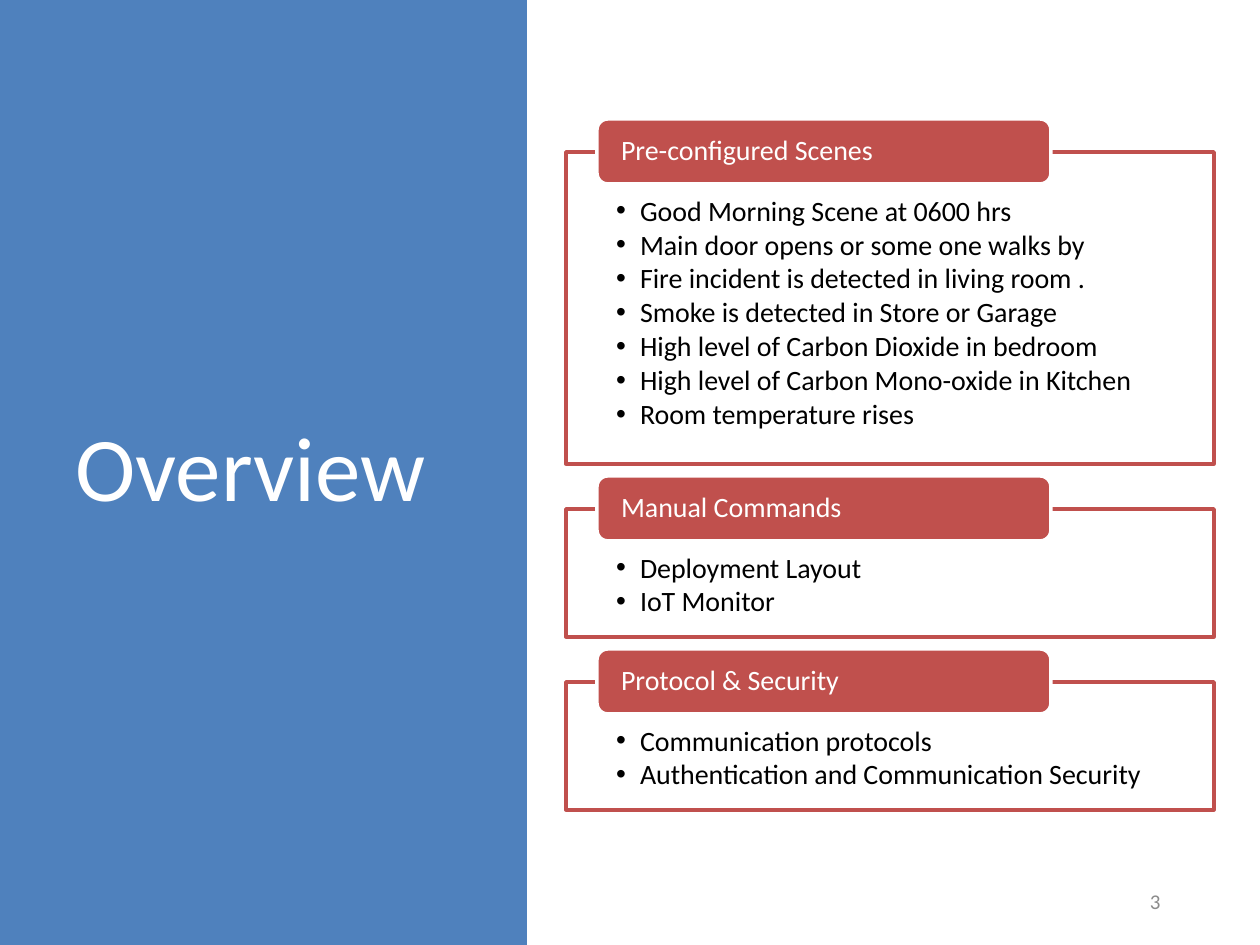
"""Build the overview slide: a title panel beside three captioned lists."""
from lxml import etree
from pptx import Presentation
from pptx.dml.color import RGBColor
from pptx.enum.shapes import MSO_SHAPE
from pptx.enum.text import MSO_ANCHOR, MSO_AUTO_SIZE, PP_ALIGN
from pptx.oxml.ns import qn
from pptx.util import Inches, Pt

RECTANGLE, ROUNDED = MSO_SHAPE.RECTANGLE, MSO_SHAPE.ROUNDED_RECTANGLE
TOP, MIDDLE = MSO_ANCHOR.TOP, MSO_ANCHOR.MIDDLE
LEFT, CENTER, RIGHT = PP_ALIGN.LEFT, PP_ALIGN.CENTER, PP_ALIGN.RIGHT
BLUE = RGBColor(0x4F, 0x81, 0xBD)
RED = RGBColor(0xC0, 0x50, 0x4D)
WHITE = RGBColor(0xFF, 0xFF, 0xFF)
BLACK = RGBColor(0x00, 0x00, 0x00)
GRAY = RGBColor(0x8C, 0x8C, 0x8C)
PIXEL = Inches(1) // 126
TITLE_ONLY = 5

FRAME_LEFT, FRAME_WIDTH, FIRST_TOP, GAP = 566, 648, 152, 45
TAB_LEFT, TAB_WIDTH, TAB_HEIGHT, TAB_RISE = 597, 454, 65, 33
SECTIONS = [
    ("Pre-configured Scenes", 312, [
        "Good Morning Scene at 0600 hrs",
        "Main door opens or some one walks by",
        "Fire incident is detected in living room .",
        "Smoke is detected in Store or Garage",
        "High level of Carbon Dioxide in bedroom",
        "High level of Carbon Mono-oxide in Kitchen",
        "Room temperature rises",
    ]),
    ("Manual Commands", 128, ["Deployment Layout", "IoT Monitor"]),
    ("Protocol & Security", 128, [
        "Communication protocols",
        "Authentication and Communication Security",
    ]),
]


def add_block(kind, left, top, width, height, fill, line=None):
    block = page.shapes.add_shape(
        kind, left * PIXEL, top * PIXEL, width * PIXEL, height * PIXEL)
    block.shadow.inherit = False
    block.fill.solid()
    block.fill.fore_color.rgb = fill
    if line is None:
        block.line.fill.background()
    else:
        block.line.color.rgb = line
        block.line.width = Pt(2)
    return block


def write(para, text, size, color, align):
    para.alignment = align
    span = para.add_run()
    span.text = text
    span.font.name = "Calibri"
    span.font.size = Pt(size)
    span.font.color.rgb = color


deck = Presentation()
deck.slide_width, deck.slide_height = Inches(10), Inches(7.5)
page = deck.slides.add_slide(deck.slide_layouts[TITLE_ONLY])

panel = add_block(RECTANGLE, 0, 0, 527, 945, BLUE)
title = page.shapes.title
panel.element.addnext(title.element)
title.left, title.top = 54 * PIXEL, 86 * PIXEL
title.width, title.height = 393 * PIXEL, 759 * PIXEL
title.text_frame.auto_size = MSO_AUTO_SIZE.NONE
title.text_frame.vertical_anchor = MIDDLE
write(title.text_frame.paragraphs[0], "Overview", 52, WHITE, CENTER)

number = page.shapes.add_textbox(890 * PIXEL, 876 * PIXEL, 283 * PIXEL, 50 * PIXEL)
number.text_frame.word_wrap = True
number.text_frame.vertical_anchor = MIDDLE
write(number.text_frame.paragraphs[0], "3", 12, GRAY, RIGHT)

top = FIRST_TOP
for heading, height, items in SECTIONS:
    frame = add_block(RECTANGLE, FRAME_LEFT, top, FRAME_WIDTH, height, WHITE, RED)
    box = frame.text_frame
    box.vertical_anchor = TOP
    box.margin_left = box.margin_right = 50 * PIXEL
    box.margin_top, box.margin_bottom = 45 * PIXEL, 15 * PIXEL
    for index, item in enumerate(items):
        para = box.add_paragraph() if index else box.paragraphs[0]
        para.level = 1
        para.line_spacing = 0.9
        para.space_after = Pt(2.1)
        write(para, item, 16, BLACK, LEFT)
        settings = para._p.get_or_add_pPr()
        settings.set("marL", str(24 * PIXEL))
        settings.set("indent", str(-24 * PIXEL))
        etree.SubElement(settings, qn("a:buFont"), typeface="Arial")
        etree.SubElement(settings, qn("a:buChar"), char="•")

    tab = add_block(ROUNDED, TAB_LEFT, top - TAB_RISE, TAB_WIDTH, TAB_HEIGHT, RED, WHITE)
    box = tab.text_frame
    box.vertical_anchor = MIDDLE
    box.margin_left = box.margin_right = 21 * PIXEL
    box.margin_top = box.margin_bottom = 0
    box.paragraphs[0].line_spacing = 0.9
    write(box.paragraphs[0], heading, 16, WHITE, LEFT)
    top += height + GAP

deck.save("out.pptx")
